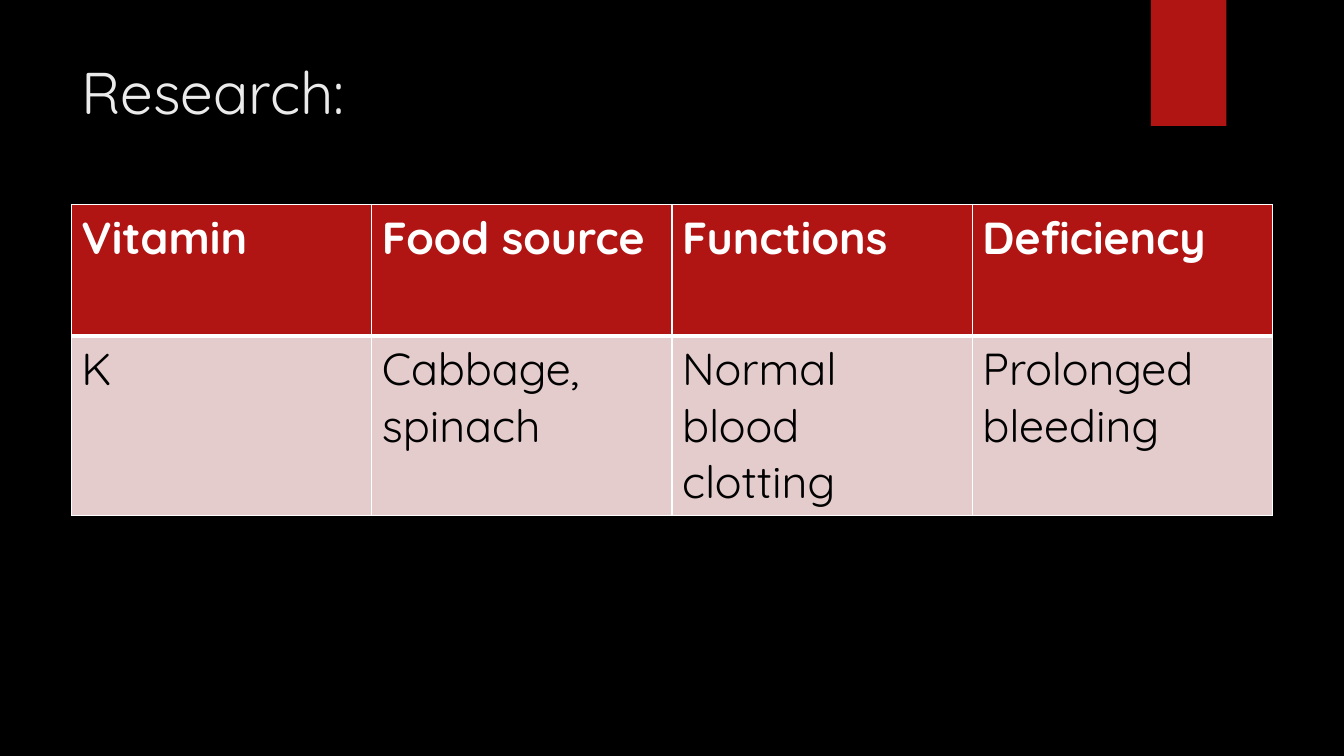
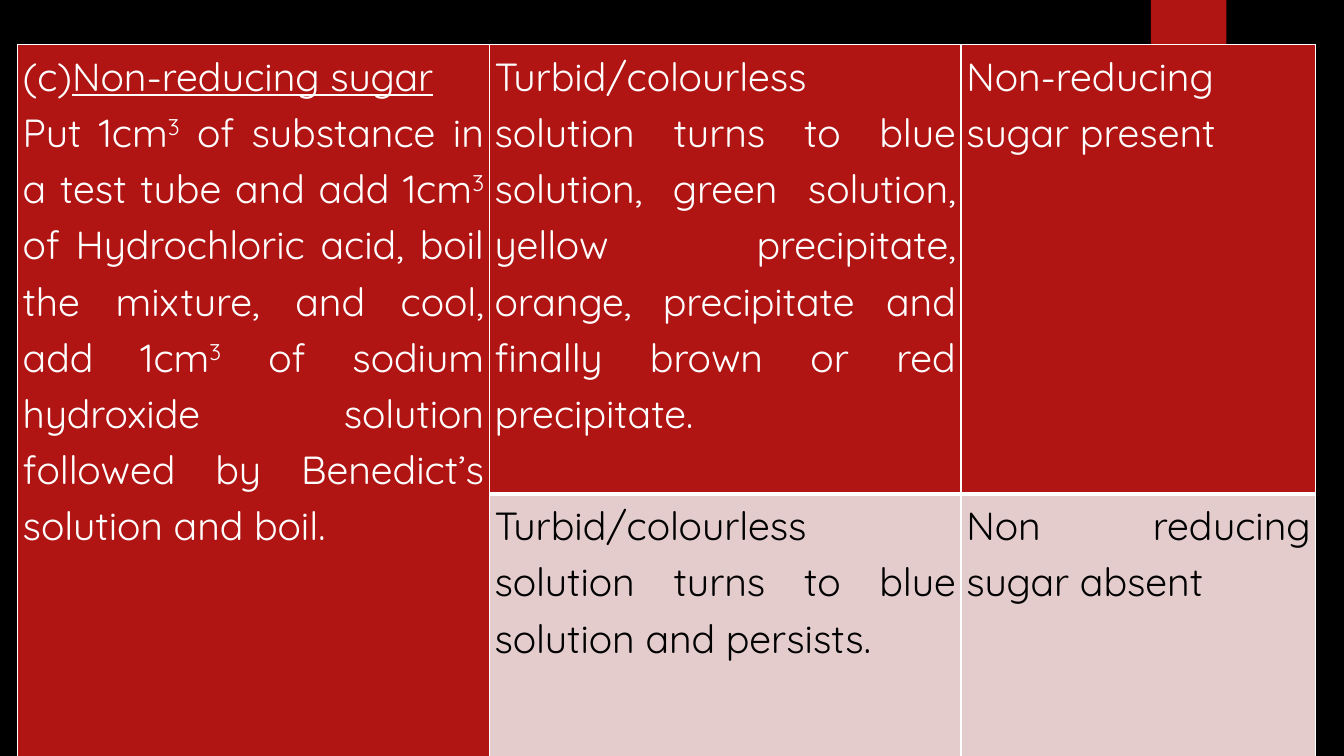
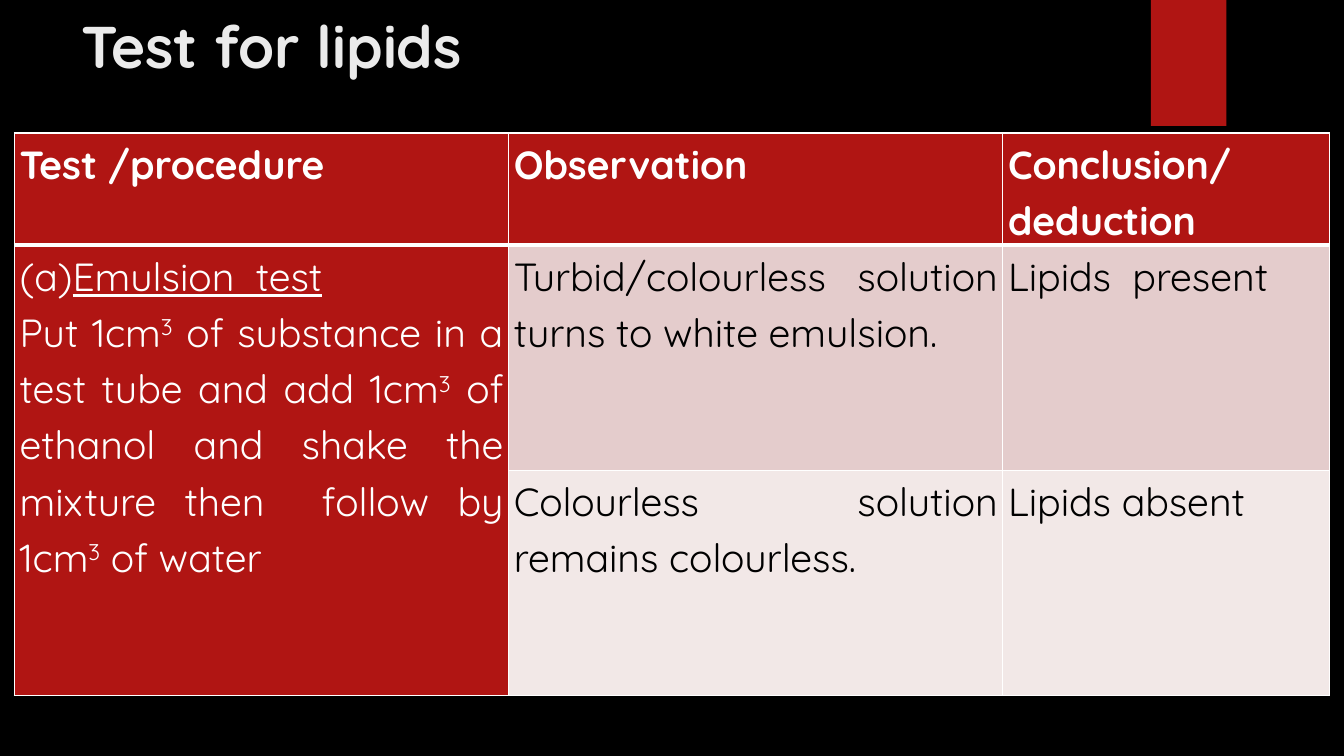
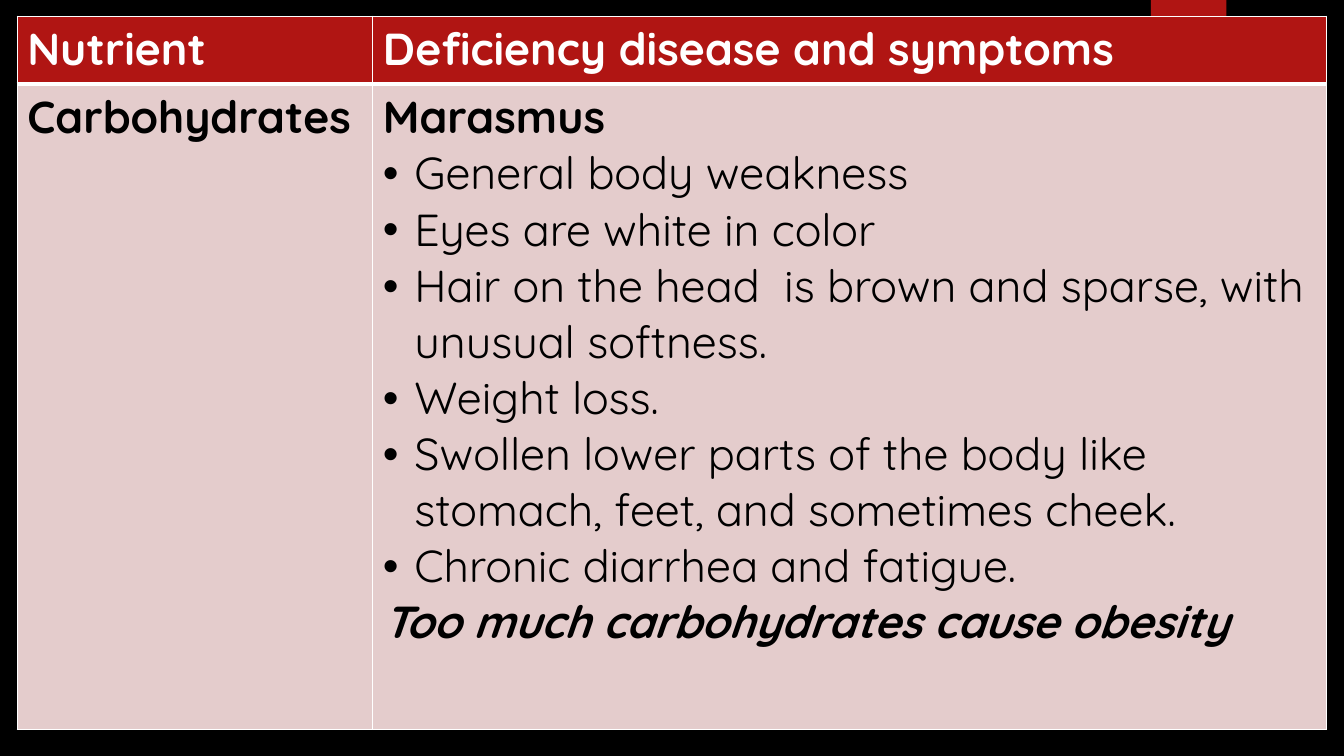
from dataclasses import dataclass

from lxml.etree import SubElement
from pptx import Presentation
from pptx.dml.color import RGBColor
from pptx.enum.shapes import MSO_SHAPE
from pptx.enum.text import PP_ALIGN
from pptx.oxml.ns import qn
from pptx.util import Pt


@dataclass(frozen=True)
class Theme:
    font: str = "Quicksand"
    background: str = "000000"
    accent: str = "B01513"
    title: str = "EBEBEB"
    light: str = "FFFFFF"
    dark: str = "000000"
    bands: tuple = ("E4CCCC", "F2E8E7")
    title_size: int = 42
    large: int = 32
    medium: int = 28
    thin: int = 1
    thick: int = 3


@dataclass(frozen=True)
class Para:
    runs: tuple
    bold: bool = False
    italic: bool = False
    bullet: bool = False


THEME = Theme()
CUBED = ("3", "super")

RESEARCH = [
    ["Vitamin", "Food source", "Functions", "Deficiency"],
    ["K", "Cabbage, spinach", "Normal blood clotting", "Prolonged bleeding"],
]

NON_REDUCING = [
    [
        [
            Para(("(c)", ("Non-reducing sugar", "underline"))),
            Para((
                "Put 1cm", CUBED, " of substance in a test tube and add 1cm", CUBED,
                " of Hydrochloric acid, boil the mixture, and cool, add 1cm", CUBED,
                " of sodium hydroxide solution followed by Benedict’s solution and boil.",
            )),
        ],
        "Turbid/colourless solution turns to blue solution, green solution, yellow "
        "precipitate, orange, precipitate and finally brown or red precipitate.",
        "Non-reducing sugar present",
    ],
    [
        None,
        "Turbid/colourless solution turns to blue solution and persists.",
        "Non reducing sugar absent",
    ],
]

LIPIDS = [
    ["Test /procedure", "Observation", "Conclusion/deduction"],
    [
        [
            Para(("(a)", ("Emulsion  test", "underline"))),
            Para((
                "Put 1cm", CUBED, " of substance in a test tube and add 1cm", CUBED,
                " of ethanol and shake the mixture then  follow by 1cm", CUBED, " of water",
            )),
        ],
        "Turbid/colourless solution turns to white emulsion.",
        "Lipids  present",
    ],
    [None, "Colourless solution remains colourless.", "Lipids absent"],
]

SYMPTOMS = [
    "General body weakness",
    "Eyes are white in color",
    "Hair on the head  is brown and sparse, with unusual softness.",
    "Weight loss.",
    "Swollen lower parts of the body like stomach, feet, and sometimes cheek.",
    "Chronic diarrhea and fatigue.",
]
DEFICIENCY = [
    ["Nutrient", "Deficiency disease and symptoms"],
    [
        [Para(("Carbohydrates",), bold=True)],
        [
            Para(("Marasmus",), bold=True),
            *(Para((symptom,), bullet=True) for symptom in SYMPTOMS),
            Para(("Too much carbohydrates cause obesity",), bold=True, italic=True),
        ],
    ],
]

SLIDES = [
    dict(title=("Research:", 36, False), rows=RESEARCH, at=(51, 146),
         widths=[214.5] * 4, heights=[94, 128]),
    dict(rows=NON_REDUCING, at=(12.5, 32), widths=[337, 337, 253.5],
         heights=[321, 190], procedure=True, bold_header=False),
    dict(title=("Test for lipids", 3.6, True), rows=LIPIDS, at=(10.3, 95),
         widths=[353, 353, 233.5], heights=[80, 161, 161], procedure=True),
    dict(rows=DEFICIENCY, at=(12.3, 11.5), widths=[254, 681], heights=[48.5, 461]),
]


def rgb(value):
    return RGBColor.from_string(value)


def style_font(font, size, color, bold=False, italic=False):
    font.name, font.size, font.bold, font.italic = THEME.font, Pt(size), bold, italic
    font.color.rgb = rgb(color)


def add_bullet(paragraph):
    properties = paragraph._p.get_or_add_pPr()
    properties.set("marL", str(Pt(22.5)))
    properties.set("indent", str(-Pt(22.5)))
    SubElement(properties, qn("a:buFont")).set("typeface", "Arial")
    SubElement(properties, qn("a:buChar")).set("char", "•")


def write_cell(cell, content, size, color, header_bold, procedure):
    if isinstance(content, str):
        content = [Para((content,), bold=header_bold)]
    frame = cell.text_frame
    for index, para in enumerate(content):
        paragraph = frame.add_paragraph() if index else frame.paragraphs[0]
        if para.bullet:
            add_bullet(paragraph)
        if procedure:
            paragraph.alignment = PP_ALIGN.JUSTIFY
            paragraph.line_spacing = 1.15
        style_font(paragraph.font, size, color, para.bold, para.italic)
        for piece in para.runs:
            text, mark = (piece, None) if isinstance(piece, str) else piece
            run = paragraph.add_run()
            run.text = text
            if mark == "underline":
                run.font.underline = True
            elif mark == "super":
                run._r.get_or_add_rPr().set("baseline", "30000")


def paint_cell(cell, fill, row):
    properties = cell._tc.get_or_add_tcPr()
    widths = {
        "a:lnL": THEME.thin,
        "a:lnR": THEME.thin,
        "a:lnT": THEME.thick if row == 1 else THEME.thin,
        "a:lnB": THEME.thick if row == 0 else THEME.thin,
    }
    for side, width in widths.items():
        line = SubElement(properties, qn(side), w=str(Pt(width)))
        SubElement(SubElement(line, qn("a:solidFill")), qn("a:srgbClr")).set("val", THEME.light)
    cell.fill.solid()
    cell.fill.fore_color.rgb = rgb(fill)


def add_grid(slide, rows, at, widths, heights, procedure=False, bold_header=True):
    table = slide.shapes.add_table(
        len(heights), len(widths), Pt(at[0]), Pt(at[1]), Pt(sum(widths)), Pt(sum(heights))
    ).table
    table.first_row = bold_header
    table.horz_banding = False
    for column, width in zip(table.columns, widths):
        column.width = Pt(width)
    for table_row, height in zip(table.rows, heights):
        table_row.height = Pt(height)
    size = THEME.medium if procedure else THEME.large
    for r, contents in enumerate(rows):
        for c, content in enumerate(contents):
            cell = table.cell(r, c)
            on_accent = r == 0 or (procedure and c == 0)
            paint_cell(cell, THEME.accent if on_accent else THEME.bands[r - 1], r)
            if content is None:
                table.cell(r - 1, c).merge(cell)
                continue
            if procedure:
                cell.margin_left = cell.margin_right = Pt(3.75)
                cell.margin_top = cell.margin_bottom = 0
            write_cell(cell, content, size, THEME.light if on_accent else THEME.dark,
                       r == 0 and bold_header, procedure)


def add_title(slide, text, top, bold):
    frame = slide.shapes.add_textbox(Pt(51), Pt(top), Pt(741), Pt(60)).text_frame
    frame.word_wrap = True
    heading = frame.paragraphs[0]
    heading.text = text
    style_font(heading.font, THEME.title_size, THEME.title, bold)


def add_ribbon(slide):
    ribbon = slide.shapes.add_shape(MSO_SHAPE.RECTANGLE, Pt(822), 0, Pt(54), Pt(90))
    ribbon.shadow.inherit = False
    ribbon.fill.solid()
    ribbon.fill.fore_color.rgb = rgb(THEME.accent)
    ribbon.line.fill.background()


def main():
    deck = Presentation()
    deck.slide_width, deck.slide_height = Pt(960), Pt(540)
    backdrop = deck.slide_master.background.fill
    backdrop.solid()
    backdrop.fore_color.rgb = rgb(THEME.background)
    for content in SLIDES:
        slide = deck.slides.add_slide(deck.slide_layouts[6])
        add_ribbon(slide)
        if "title" in content:
            add_title(slide, *content["title"])
        add_grid(slide, **{key: value for key, value in content.items() if key != "title"})
    deck.save("out.pptx")


if __name__ == "__main__":
    main()
